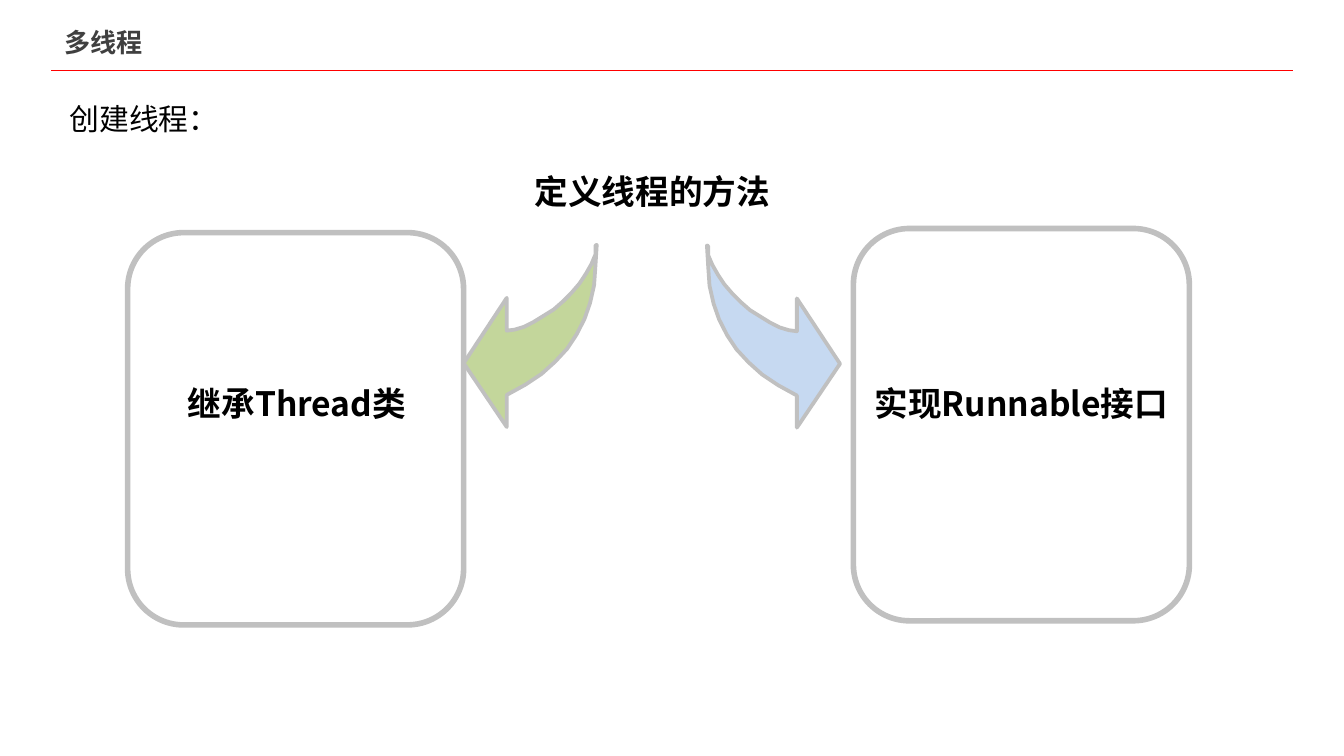
from dataclasses import dataclass

from lxml import etree
from pptx import Presentation
from pptx.dml.color import RGBColor
from pptx.enum.shapes import MSO_CONNECTOR, MSO_SHAPE
from pptx.enum.text import MSO_ANCHOR, MSO_AUTO_SIZE, PP_ALIGN
from pptx.oxml.ns import qn
from pptx.util import Pt

STRAIGHT = MSO_CONNECTOR.STRAIGHT
ROUNDED = MSO_SHAPE.ROUNDED_RECTANGLE
TOP, MIDDLE = MSO_ANCHOR.TOP, MSO_ANCHOR.MIDDLE
LEFT, CENTER = PP_ALIGN.LEFT, PP_ALIGN.CENTER
GROW, FIXED = MSO_AUTO_SIZE.SHAPE_TO_FIT_TEXT, MSO_AUTO_SIZE.NONE

FONT = "Noto Sans CJK SC"
BLACK, GRAY, SILVER, RED, WHITE = "000000", "404040", "C0C0C0", "FF0000", "FFFFFF"
GREEN, BLUE = "C3D69B", "C6D9F1"

ARROW_OUTLINE = (
    (0, 0), (0.7, 11.3), (1.4, 21.6), (3.6, 31.2), (6.5, 39.6), (10.8, 48),
    (15.8, 55.6), (22.3, 62.6), (29.5, 69.1), (38.2, 74.9), (48.2, 80.4),
    (48.2, 97.6), (71.3, 63.4), (48.2, 28.4), (48.2, 46), (43.9, 45.4),
    (38.9, 43.9), (33.8, 41.3), (28.8, 38.2), (23, 34.6), (18, 30.2),
    (13.7, 25.9), (9.4, 20.9), (5.8, 15.5), (2.9, 10.4), (0.7, 5.2), (0.7, 0.3),
)


@dataclass(frozen=True)
class Label:
    text: str
    left: float
    top: float
    width: float
    height: float
    size: float = 18
    bold: bool = True
    color: str = BLACK
    align: PP_ALIGN = LEFT
    anchor: MSO_ANCHOR = TOP
    fit: MSO_AUTO_SIZE = GROW


@dataclass(frozen=True)
class Frame:
    left: float
    top: float
    width: float = 180
    height: float = 210.2


@dataclass(frozen=True)
class CurvedArrow:
    tail_x: float
    tail_y: float
    direction: int
    fill: str


TITLE = Label("多线程", 27.4, 11.5, 315.4, 21.6, size=14, color=GRAY,
              anchor=MIDDLE, fit=FIXED)
SUBTITLE = Label("创建线程：", 30.2, 50.4, 218.2, 26.6, size=16, bold=False)
FRAMES = (Frame(457.2, 122.4), Frame(68.4, 124.6))
THREAD_CLASS = Label("继承Thread类", 93.6, 201.6, 147.6, 29.5)
ARROWS = (CurvedArrow(319.7, 131.2, -1, GREEN), CurvedArrow(378.7, 131.5, 1, BLUE))
METHODS = Label("定义线程的方法", 253.4, 87.8, 192.2, 29.5, align=CENTER)
RUNNABLE = Label("实现Runnable接口", 461.5, 201.6, 187.2, 29.5)


def rgb(value: str) -> RGBColor:
    return RGBColor.from_string(value)


def set_line(shape, color: str, width: float) -> None:
    shape.line.color.rgb = rgb(color)
    shape.line.width = Pt(width)


def draw_label(slide, label: Label) -> None:
    box = slide.shapes.add_textbox(
        Pt(label.left), Pt(label.top), Pt(label.width), Pt(label.height))
    frame = box.text_frame
    frame_format = {"word_wrap": True, "auto_size": label.fit,
                    "vertical_anchor": label.anchor}
    for name, value in frame_format.items():
        setattr(frame, name, value)
    paragraph = frame.paragraphs[0]
    paragraph.alignment = label.align
    run = paragraph.add_run()
    run.text = label.text
    font_format = {"name": FONT, "size": Pt(label.size), "bold": label.bold}
    for name, value in font_format.items():
        setattr(run.font, name, value)
    run.font.color.rgb = rgb(label.color)
    etree.SubElement(run.font._element, qn("a:ea"), typeface=FONT)


def draw_frame(slide, frame: Frame) -> None:
    panel = slide.shapes.add_shape(
        ROUNDED, Pt(frame.left), Pt(frame.top), Pt(frame.width), Pt(frame.height))
    panel.shadow.inherit = False
    panel.adjustments[0] = 0.167
    panel.fill.background()
    set_line(panel, SILVER, 3)


def draw_arrow(slide, arrow: CurvedArrow) -> None:
    outline = [(Pt(arrow.tail_x + arrow.direction * x), Pt(arrow.tail_y + y))
               for x, y in ARROW_OUTLINE]
    builder = slide.shapes.build_freeform(*outline[0])
    builder.add_line_segments(outline[1:], close=True)
    curve = builder.convert_to_shape()
    curve.shadow.inherit = False
    curve.fill.solid()
    curve.fill.fore_color.rgb = rgb(arrow.fill)
    set_line(curve, SILVER, 2)


def draw_rule(slide, left: float, right: float, y: float) -> None:
    rule = slide.shapes.add_connector(STRAIGHT, Pt(left), Pt(y), Pt(right), Pt(y))
    set_line(rule, RED, 0.25)
    etree.SubElement(rule._element.spPr, qn("a:effectLst"))


def main() -> None:
    deck = Presentation()
    deck.slide_width, deck.slide_height = Pt(720), Pt(405)
    slide = deck.slides.add_slide(deck.slide_layouts[6])
    slide.background.fill.solid()
    slide.background.fill.fore_color.rgb = rgb(WHITE)

    draw_rule(slide, 27.4, 692.6, 37.8)
    draw_label(slide, TITLE)
    draw_label(slide, SUBTITLE)
    for frame in FRAMES:
        draw_frame(slide, frame)
    draw_label(slide, THREAD_CLASS)
    for arrow in ARROWS:
        draw_arrow(slide, arrow)
    draw_label(slide, METHODS)
    draw_label(slide, RUNNABLE)
    deck.save("out.pptx")


if __name__ == "__main__":
    main()
